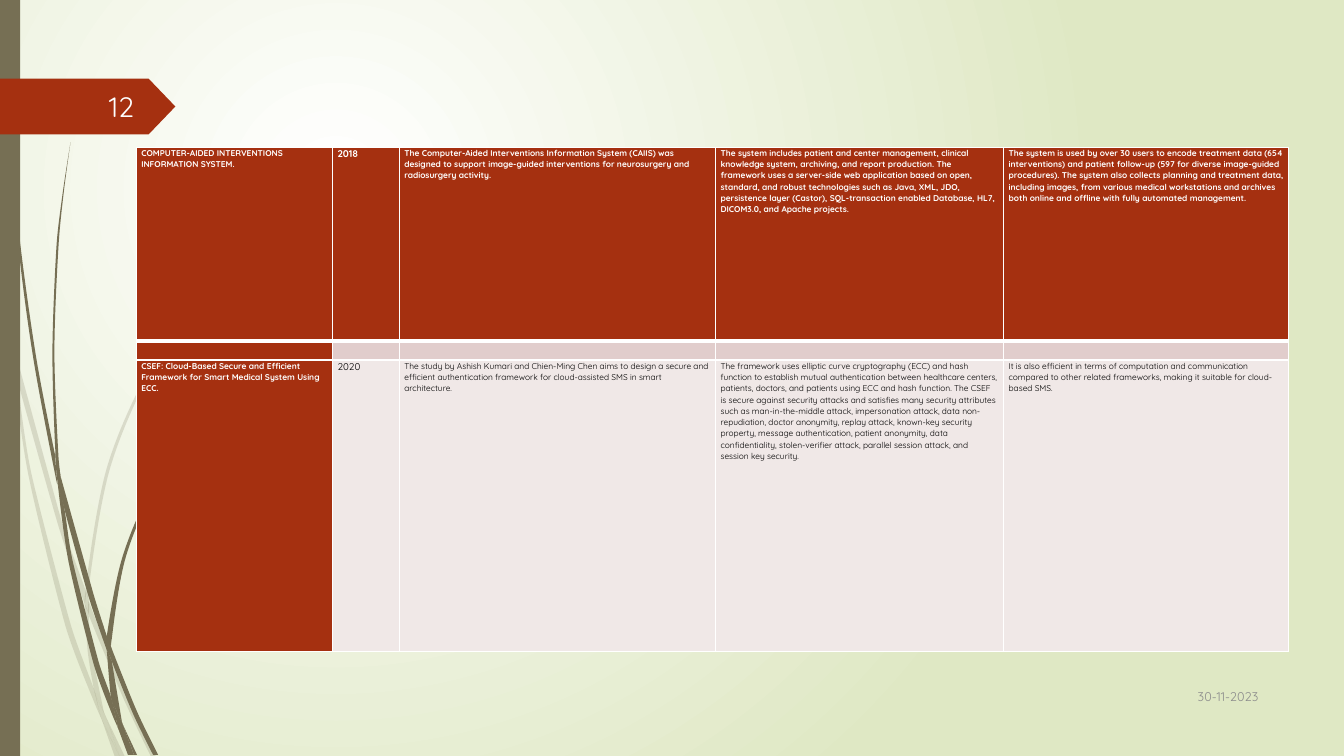
from lxml.etree import SubElement
from pptx import Presentation
from pptx.dml.color import RGBColor
from pptx.enum.shapes import MSO_SHAPE as Preset
from pptx.enum.text import MSO_ANCHOR as Anchor, PP_ALIGN as Align
from pptx.oxml.ns import qn
from pptx.util import Cm, Pt

RUST, OLIVE, WHITE, BLACK = "A53010", "766F54", "FFFFFF", "000000"
PINK, PALE, GREY = "E1CDCC", "F0E8E7", "8C8C8C"
HUNDREDTH_INCH = 0.0254

FAINT_BLADES = [
    [(11, 350), (9, 322), (0, 282), (0, 299), (10, 344)],
    [(58, 522), (84, 599), (85, 586), (62, 520), (14, 345), (17, 376)],
    [(92, 607), (88, 596), (88, 610), (123, 694), (150, 751), (155, 751), (127, 692)],
    [(119, 751), (124, 751), (105, 711)],
    [(93, 683), (70, 619), (31, 469), (17, 376), (11, 350), (28, 470), (65, 621), (92, 693),
     (101, 714), (99, 707)],
    [(84, 599), (87, 646), (93, 683), (96, 692), (105, 711), (103, 706), (91, 646), (88, 610),
     (88, 608)],
    [(88, 584), (110, 462), (160, 349), (229, 245), (268, 198), (290, 175), (312, 154),
     (312, 153), (289, 175), (268, 197), (228, 244), (158, 348), (107, 461), (85, 584),
     (85, 586), (88, 596)],
    [(101, 714), (114, 751), (119, 751)],
    [(88, 608), (88, 610), (88, 596), (85, 586), (84, 599)],
    [(96, 692), (93, 683), (99, 707), (101, 714), (119, 751), (105, 711)],
]
DARK_BLADES = [
    [(7, 110), (17, 233), (33, 355), (56, 477), (57, 481), (55, 457), (55, 453), (36, 355),
     (19, 232), (8, 109), (5, 48), (4, 0), (3, 0), (4, 48)],
    [(88, 592), (106, 645), (106, 633), (106, 631), (93, 590), (60, 472), (64, 505)],
    [(113, 649), (110, 641), (111, 656), (132, 708), (152, 749), (157, 749), (136, 706)],
    [(110, 691), (98, 657), (72, 556), (64, 505), (57, 477), (68, 557), (93, 659), (111, 708),
     (117, 722), (116, 717)],
    [(60, 472), (58, 453), (54, 349), (58, 245), (63, 193), (70, 141), (62, 193), (56, 245),
     (52, 349), (55, 449)],
    [(133, 749), (136, 749), (122, 719)],
    [(57, 477), (64, 505), (60, 472), (55, 449), (55, 453)],
    [(111, 633), (125, 552), (158, 476), (205, 406), (231, 374), (245, 359), (261, 344),
     (260, 344), (245, 358), (231, 373), (204, 405), (156, 474), (122, 551), (106, 631),
     (110, 641)],
    [(117, 722), (127, 749), (131, 749)],
    [(106, 645), (110, 691), (116, 706), (122, 719), (121, 716), (111, 656), (109, 651)],
    [(106, 645), (109, 651), (111, 656), (110, 641), (106, 631), (106, 633)],
    [(116, 706), (110, 691), (116, 717), (117, 722), (130, 749), (133, 749), (122, 719)],
]

COLUMN_WIDTHS = [4.95, 1.68, 7.97, 7.26, 7.19]
ROW_HEIGHTS = [4.88, 0.48, 7.34]
STUDIES = [
    ["COMPUTER-AIDED INTERVENTIONS INFORMATION SYSTEM.",
     "2018",
     "The Computer-Aided Interventions Information System (CAIIS) was designed to support "
     "image-guided interventions for neurosurgery and radiosurgery activity.",
     "The system includes patient and center management, clinical knowledge system, archiving, "
     "and report production. The framework uses a server-side web application based on open, "
     "standard, and robust technologies such as Java, XML, JDO, persistence layer (Castor), "
     "SQL-transaction enabled Database, HL7, DICOM3.0, and Apache projects.",
     "The system is used by over 30 users to encode treatment data (654 interventions) and "
     "patient follow-up (597 for diverse image-guided procedures). The system also collects "
     "planning and treatment data, including images, from various medical workstations and "
     "archives both online and offline with fully automated management."],
    [""] * 5,
    ["CSEF: Cloud-Based Secure and Efficient Framework for Smart Medical System Using ECC.",
     "2020",
     "The study by Ashish Kumari and Chien-Ming Chen aims to design a secure and efficient "
     "authentication framework for cloud-assisted SMS in smart architecture.",
     "The framework uses elliptic curve cryptography (ECC) and hash function to establish mutual "
     "authentication between healthcare centers, patients, doctors, and patients using ECC and "
     "hash function. The CSEF is secure against security attacks and satisfies many security "
     "attributes such as man-in-the-middle attack, impersonation attack, data non-repudiation, "
     "doctor anonymity, replay attack, known-key security property, message authentication, "
     "patient anonymity, data confidentiality, stolen-verifier attack, parallel session attack, "
     "and session key security.",
     "It is also efficient in terms of computation and communication compared to other related "
     "frameworks, making it suitable for cloud-based SMS."],
]


def rgb(color):
    return RGBColor.from_string(color)


def apply(target, formats):
    for name, value in formats.items():
        setattr(target, name, value)


def paint(shape, color):
    shape.shadow.inherit = False
    shape.fill.solid()
    shape.fill.fore_color.rgb = rgb(color)
    shape.line.fill.background()


def paint_background(slide):
    fill = slide.background.fill
    fill.gradient()
    for stop, color, position in zip(fill.gradient_stops, (WHITE, "DFE8C4"), (0, 1)):
        stop.color.rgb = rgb(color)
        stop.position = position
    gradient = slide.element.find(".//" + qn("a:gradFill"))
    gradient.remove(gradient.find(qn("a:lin")))
    circle = SubElement(gradient, qn("a:path"), {"path": "circle"})
    SubElement(circle, qn("a:fillToRect"), l="50000", t="50000", r="100000", b="100000")


def tangent(before, knot, after):
    arriving, leaving = complex(knot - before), complex(after - knot)
    alignment = (arriving.conjugate() * leaving).real
    if alignment < 0.7 * abs(arriving) * abs(leaving):
        return 0
    reach = min(abs(arriving), abs(leaving)) / 3
    return (after - before) / abs(after - before) * reach


def curve_edges(blade):
    knots = [complex(int(pt.get("x")), int(pt.get("y"))) for pt in blade.element.iter(qn("a:pt"))][:-1]
    count = len(knots)
    pulls = [tangent(knots[i - 1], knots[i], knots[(i + 1) % count]) for i in range(count)]
    for i, edge in enumerate(list(blade.element.iter(qn("a:lnTo")))):
        end = (i + 1) % count
        edge.remove(edge[0])
        edge.tag = qn("a:cubicBezTo")
        for point in (knots[i] + pulls[i], knots[end] - pulls[end], knots[end]):
            SubElement(edge, qn("a:pt"), x=str(round(point.real)), y=str(round(point.imag)))


def add_blade(slide, knots, opacity):
    start, *others = [(Cm(x * HUNDREDTH_INCH), Cm(y * HUNDREDTH_INCH)) for x, y in knots]
    builder = slide.shapes.build_freeform(*start)
    builder.add_line_segments([*others, start], close=True)
    blade = builder.convert_to_shape()
    curve_edges(blade)
    paint(blade, OLIVE)
    if opacity < 100:
        tint = blade.element.spPr.find(qn("a:solidFill")).find(qn("a:srgbClr"))
        SubElement(tint, qn("a:alpha"), val=str(opacity * 1000))


def add_block(slide, preset, bounds, color):
    block = slide.shapes.add_shape(preset, *map(Cm, bounds))
    paint(block, color)
    return block


def add_run(paragraph, text, size, color, bold=False):
    run = paragraph.add_run()
    run.text = text
    apply(run.font, {"name": "Quicksand", "size": Pt(size), "bold": bold})
    run.font.color.rgb = rgb(color)


def add_label(slide, text, bounds, size, color):
    frame = slide.shapes.add_textbox(*map(Cm, bounds)).text_frame
    apply(frame, {"word_wrap": True, "vertical_anchor": Anchor.MIDDLE})
    frame.paragraphs[0].alignment = Align.RIGHT
    add_run(frame.paragraphs[0], text, size, color)


def add_borders(cell, widths):
    properties = cell._tc.get_or_add_tcPr()
    for side, width in widths.items():
        line = SubElement(properties, qn(f"a:ln{side}"), w=str(Pt(width)))
        SubElement(SubElement(line, qn("a:solidFill")), qn("a:srgbClr"), val=WHITE)


def fill_cell(cell, text, row, column):
    highlighted = row == 0 or column == 0
    add_borders(cell, {"L": 1, "R": 1, "T": 3 if row == 1 else 1, "B": 3 if row == 0 else 1})
    cell.fill.solid()
    cell.fill.fore_color.rgb = rgb(RUST if highlighted else (PINK, PALE)[row - 1])
    apply(cell, {"margin_left": Cm(0.13), "margin_right": Cm(0.13),
                 "margin_top": 0, "margin_bottom": 0})
    paragraph = cell.text_frame.paragraphs[0]
    if not text:
        SubElement(paragraph._p, qn("a:endParaRPr"), sz="600")
        return
    apply(paragraph, {"line_spacing": 1.07, "space_after": Pt(8)})
    add_run(paragraph, text, 7 if column == 1 else 6, WHITE if highlighted else BLACK, highlighted)


def add_studies_table(slide):
    studies = slide.shapes.add_table(
        len(ROW_HEIGHTS), len(COLUMN_WIDTHS), Cm(3.43), Cm(3.71),
        Cm(sum(COLUMN_WIDTHS)), Cm(sum(ROW_HEIGHTS))).table
    apply(studies, {"first_row": False, "horz_banding": False})
    for column, width in zip(studies.columns, COLUMN_WIDTHS):
        column.width = Cm(width)
    for row, height in zip(studies.rows, ROW_HEIGHTS):
        row.height = Cm(height)
    for row, texts in enumerate(STUDIES):
        for column, text in enumerate(texts):
            fill_cell(studies.cell(row, column), text, row, column)


def main():
    deck = Presentation()
    apply(deck, {"slide_width": Cm(33.87), "slide_height": Cm(19.05)})
    slide = deck.slides.add_slide(deck.slide_layouts[6])
    paint_background(slide)
    for blades, opacity in ((FAINT_BLADES, 20), (DARK_BLADES, 100)):
        for knots in blades:
            add_blade(slide, knots, opacity)
    add_block(slide, Preset.RECTANGLE, (0, 0, 0.51, 19.05), OLIVE)
    number_tag = add_block(slide, Preset.PENTAGON, (0, 1.98, 4.42, 1.41), RUST)
    number_tag.adjustments[0] = 0.48
    add_label(slide, "30-11-2023", (28.78, 17.02, 3.18, 1.04), 9, GREY)
    add_label(slide, "12", (1.47, 2.18, 2.16, 1.02), 20, "FEFFFF")
    add_studies_table(slide)
    deck.save("out.pptx")


if __name__ == "__main__":
    main()
